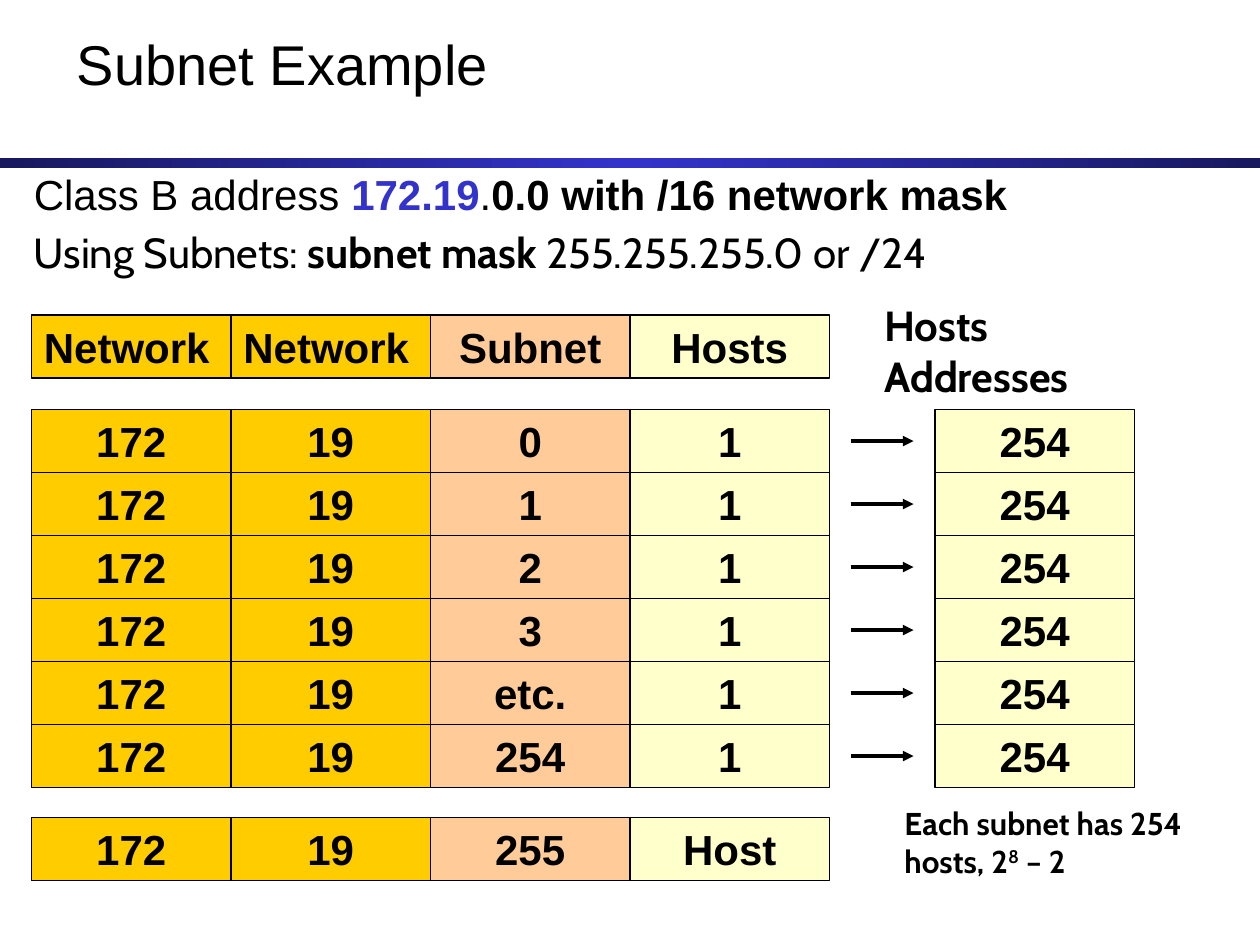
import copy
from dataclasses import dataclass

import pptx
import pptx.dml.color
import pptx.enum.shapes
import pptx.enum.text
import pptx.oxml
import pptx.oxml.ns
import pptx.util

Inches = pptx.util.Inches
Pt = pptx.util.Pt
Align = pptx.enum.text.PP_ALIGN

BLACK, BLUE, NAVY = "000000", "3333CC", "18185E"
GOLD, PEACH, CREAM = "FFCC00", "FFCC99", "FFFFCC"
LEFT, WIDE, HIGH = 0.25, 19 / 12, 0.5  # cell grid
TOP = 3.25  # first address row


@dataclass
class Row:
    top: float
    texts: tuple[str, ...]


@dataclass
class Span:
    text: str
    bold: bool = False
    color: str = BLACK
    raised: bool = False


@dataclass
class Note:
    box: tuple[float, float, float, float]
    face: str
    size: int
    spans: list[Span]
    space: float = 1.0


def rgb(code: str) -> pptx.dml.color.RGBColor:
    return pptx.dml.color.RGBColor.from_string(code)


def draw_bar(shapes) -> None:
    bar = shapes.add_shape(pptx.enum.shapes.MSO_SHAPE.RECTANGLE,
                           0, Inches(1.25), Inches(10), Inches(0.08))
    bar.shadow.inherit = False
    bar.line.fill.background()
    bar.fill.gradient()
    bar.fill.gradient_angle = 0
    stops = bar.fill._fill._gradFill.gsLst
    stops.append(copy.deepcopy(stops[0]))
    for stop, (pos, code) in zip(bar.fill.gradient_stops,
                                 [(0, NAVY), (0.5, BLUE), (1, NAVY)]):
        stop.position = pos
        stop.color.rgb = rgb(code)


def draw_cell(shapes, left: float, top: float, text: str, color: str) -> None:
    cell = shapes.add_shape(pptx.enum.shapes.MSO_SHAPE.RECTANGLE,
                            Inches(left), Inches(top), Inches(WIDE), Inches(HIGH))
    cell.shadow.inherit = False
    cell.fill.solid()
    cell.fill.fore_color.rgb = rgb(color)
    cell.line.color.rgb = rgb(BLACK)
    cell.line.width = Pt(0.75)
    frame = cell.text_frame
    frame.vertical_anchor = pptx.enum.text.MSO_ANCHOR.TOP
    para = frame.paragraphs[0]
    para.text = text
    para.alignment = Align.LEFT if text == "Network" else Align.CENTER
    font = para.font
    font.name, font.size, font.bold = "Arial", Pt(24), True
    font.color.rgb = rgb(BLACK)


def draw_row(shapes, row: Row) -> None:
    group = shapes.add_group_shape()
    for col, (text, color) in enumerate(zip(row.texts, (GOLD, GOLD, PEACH, CREAM))):
        draw_cell(group.shapes, LEFT + col * WIDE, row.top, text, color)


def draw_arrow(shapes, mid: float) -> None:
    arrow = shapes.add_connector(pptx.enum.shapes.MSO_CONNECTOR.STRAIGHT,
                                 Inches(6.75), Inches(mid), Inches(7.25), Inches(mid))
    arrow.line.color.rgb = rgb(BLACK)
    arrow.line.width = Pt(2)
    space = pptx.oxml.ns.nsdecls("a")
    arrow.line._get_or_add_ln().append(
        pptx.oxml.parse_xml(f'<a:tailEnd {space} type="triangle"/>'))
    arrow._element.spPr.append(pptx.oxml.parse_xml(f"<a:effectLst {space}/>"))


def draw_note(shapes, note: Note) -> None:
    frame = shapes.add_textbox(*map(Inches, note.box)).text_frame
    frame.word_wrap = True
    para = frame.paragraphs[0]
    para.line_spacing = note.space
    para.font.name, para.font.size = note.face, Pt(note.size)
    for span in note.spans:
        run = para.add_run()
        run.text = span.text
        run.font.bold = span.bold
        run.font.color.rgb = rgb(span.color)
        if span.raised:
            run.font._element.set("baseline", "30000")


def main() -> None:
    deck = pptx.Presentation()
    deck.slide_width, deck.slide_height = Inches(10), Inches(7.5)
    slide = deck.slides.add_slide(deck.slide_layouts[5])
    shapes = slide.shapes
    draw_bar(shapes)

    # Title
    title = shapes.title
    title.left, title.top = Inches(0.51), Inches(0.24)
    title.width, title.height = Inches(7.69), Inches(0.52)
    title.text_frame.text = "Subnet Example"
    title.text_frame.auto_size = pptx.enum.text.MSO_AUTO_SIZE.NONE
    title.text_frame.vertical_anchor = pptx.enum.text.MSO_ANCHOR.MIDDLE
    para = title.text_frame.paragraphs[0]
    para.alignment = Align.LEFT
    para.font.name, para.font.size = "Arial", Pt(32)
    para.font.color.rgb = rgb(BLACK)

    # Address rows: heading, subnets, last subnet
    subnets = ("0", "1", "2", "3", "etc.", "254")
    tops = [TOP + n * HIGH for n in range(len(subnets))]
    rows = [Row(2.5, ("Network", "Network", "Subnet", "Hosts"))]
    rows += [Row(top, ("172", "19", net, "1")) for top, net in zip(tops, subnets)]
    rows.append(Row(6.49, ("172", "19", "255", "Host")))
    for row in rows:
        draw_row(shapes, row)

    # Host counts with their arrows
    for top in tops:
        draw_cell(shapes, 7.42, top, "254", CREAM)
        draw_arrow(shapes, top + HIGH / 2)

    # Captions
    notes = [
        Note((0.17, 1.33, 9.5, 0.58), "Arial", 24,
             [Span("Class B address "), Span("172.19", True, BLUE), Span("."),
              Span("0.0 with /16 network mask", True)], 0.9),
        Note((0.17, 1.75, 7.92, 0.9), "Cabin", 24,
             [Span("Using Subnets: "), Span("subnet mask", True),
              Span(" 255.255.255.0 or /24")]),
        Note((6.92, 2.33, 2.42, 0.9), "Cabin", 24, [Span("Hosts Addresses", True)]),
        Note((7.08, 6.33, 2.42, 0.7), "Cabin", 18,
             [Span("Each subnet has 254 hosts, 2", True),
              Span("8", True, raised=True), Span(" – 2", True)]),
    ]
    for note in notes:
        draw_note(shapes, note)

    deck.save("out.pptx")


if __name__ == "__main__":
    main()
